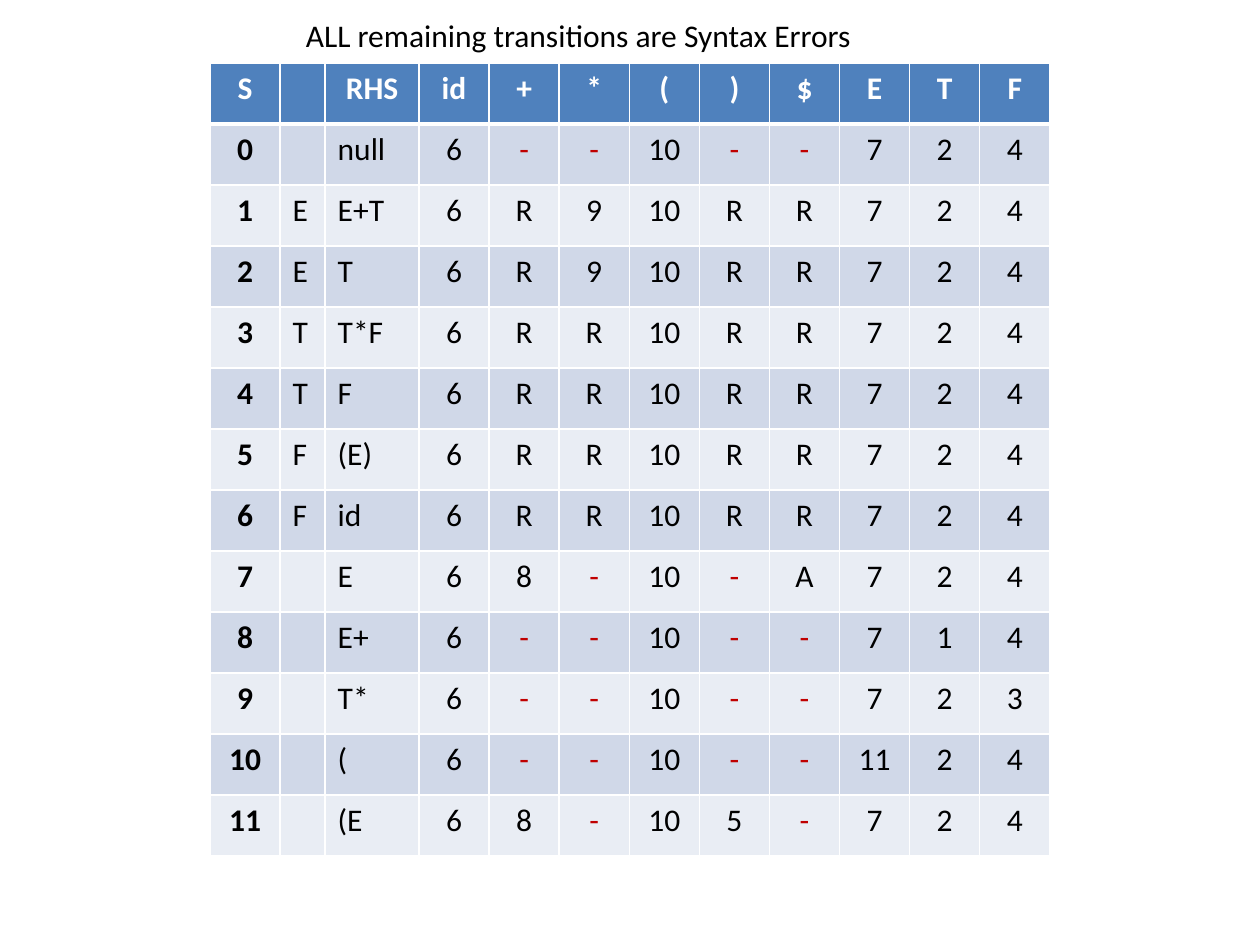
from lxml.etree import SubElement
from pptx import Presentation
from pptx.dml.color import RGBColor
from pptx.enum.text import MSO_AUTO_SIZE, PP_ALIGN
from pptx.oxml.ns import qn
from pptx.util import Inches, Pt

SLIDE_WIDTH, SLIDE_HEIGHT = 10, 7.5
COLORS = {
    "header": "4F81BD", "odd": "D0D8E8", "even": "E9EDF4",
    "border": "FFFFFF", "header_text": "FFFFFF", "text": "000000", "error": "C00000",
}
COLUMN_SHARES = [0.56, 0.36, 0.75] + [0.56] * 9
LEFT_ALIGNED_COLUMNS = (1, 2)
EMPTY = "."
TRANSITIONS = [line.split() for line in """
S . RHS id + * ( ) $ E T F
0 . null 6 - - 10 - - 7 2 4
1 E E+T 6 R 9 10 R R 7 2 4
2 E T 6 R 9 10 R R 7 2 4
3 T T*F 6 R R 10 R R 7 2 4
4 T F 6 R R 10 R R 7 2 4
5 F (E) 6 R R 10 R R 7 2 4
6 F id 6 R R 10 R R 7 2 4
7 . E 6 8 - 10 - A 7 2 4
8 . E+ 6 - - 10 - - 7 1 4
9 . T* 6 - - 10 - - 7 2 3
10 . ( 6 - - 10 - - 11 2 4
11 . (E 6 8 - 10 5 - 7 2 4
""".strip().splitlines()]


def add_text(paragraph, text, color, bold=False):
    """Add one run in the slide's common font."""
    run = paragraph.add_run()
    run.text = text
    run.font.name = "Calibri"
    run.font.size = Pt(18)
    run.font.bold = bold
    run.font.color.rgb = RGBColor.from_string(COLORS[color])


def set_borders(cell, bottom, top):
    """Draw the four borders of a cell, with its own top and bottom widths."""
    properties = cell._tc.get_or_add_tcPr()
    for side, width in (("L", 1), ("R", 1), ("T", top), ("B", bottom)):
        line = SubElement(properties, qn(f"a:ln{side}"), w=str(Pt(width)))
        fill = SubElement(line, qn("a:solidFill"))
        SubElement(fill, qn("a:srgbClr"), val=COLORS["border"])


def fill_cell(cell, text, row, column):
    """Style one cell by its row and column and write its text."""
    header = row == 0
    set_borders(cell, bottom=3 if header else 1, top=3 if row == 1 else 1)
    band = "header" if header else "odd" if row % 2 else "even"
    cell.fill.solid()
    cell.fill.fore_color.rgb = RGBColor.from_string(COLORS[band])
    paragraph = cell.text_frame.paragraphs[0]
    if header or column not in LEFT_ALIGNED_COLUMNS:
        paragraph.alignment = PP_ALIGN.CENTER
    if text != EMPTY:
        color = "header_text" if header else "error" if text == "-" else "text"
        add_text(paragraph, text, color, bold=header or column == 0)


def add_transition_table(slide, left, top, width, height):
    """Place the transition table in the given box."""
    table = slide.shapes.add_table(
        len(TRANSITIONS), len(COLUMN_SHARES), left, top, width, height).table
    for column, share in zip(table.columns, COLUMN_SHARES):
        column.width = int(width * share / sum(COLUMN_SHARES))
    for row, texts in enumerate(TRANSITIONS):
        table.rows[row].height = int(height / len(TRANSITIONS))
        for column, text in enumerate(texts):
            fill_cell(table.cell(row, column), text, row, column)


def add_caption(slide, left, top, width, height):
    """Place the caption line in the given box."""
    frame = slide.shapes.add_textbox(left, top, width, height).text_frame
    frame.word_wrap = False
    frame.auto_size = MSO_AUTO_SIZE.SHAPE_TO_FIT_TEXT
    add_text(frame.paragraphs[0], "ALL remaining transitions are Syntax Errors", "text")


def main():
    """Build and save the slide."""
    presentation = Presentation()
    presentation.slide_width = Inches(SLIDE_WIDTH)
    presentation.slide_height = Inches(SLIDE_HEIGHT)
    slide = presentation.slides.add_slide(presentation.slide_layouts[6])
    width, height = presentation.slide_width, presentation.slide_height
    add_transition_table(
        slide, int(width / 6), int(height / 15), int(width * 2 / 3), int(height * 0.84))
    add_caption(slide, Inches(2.33), Inches(0.08), Inches(4.57), Inches(0.4))
    presentation.save("out.pptx")


main()
